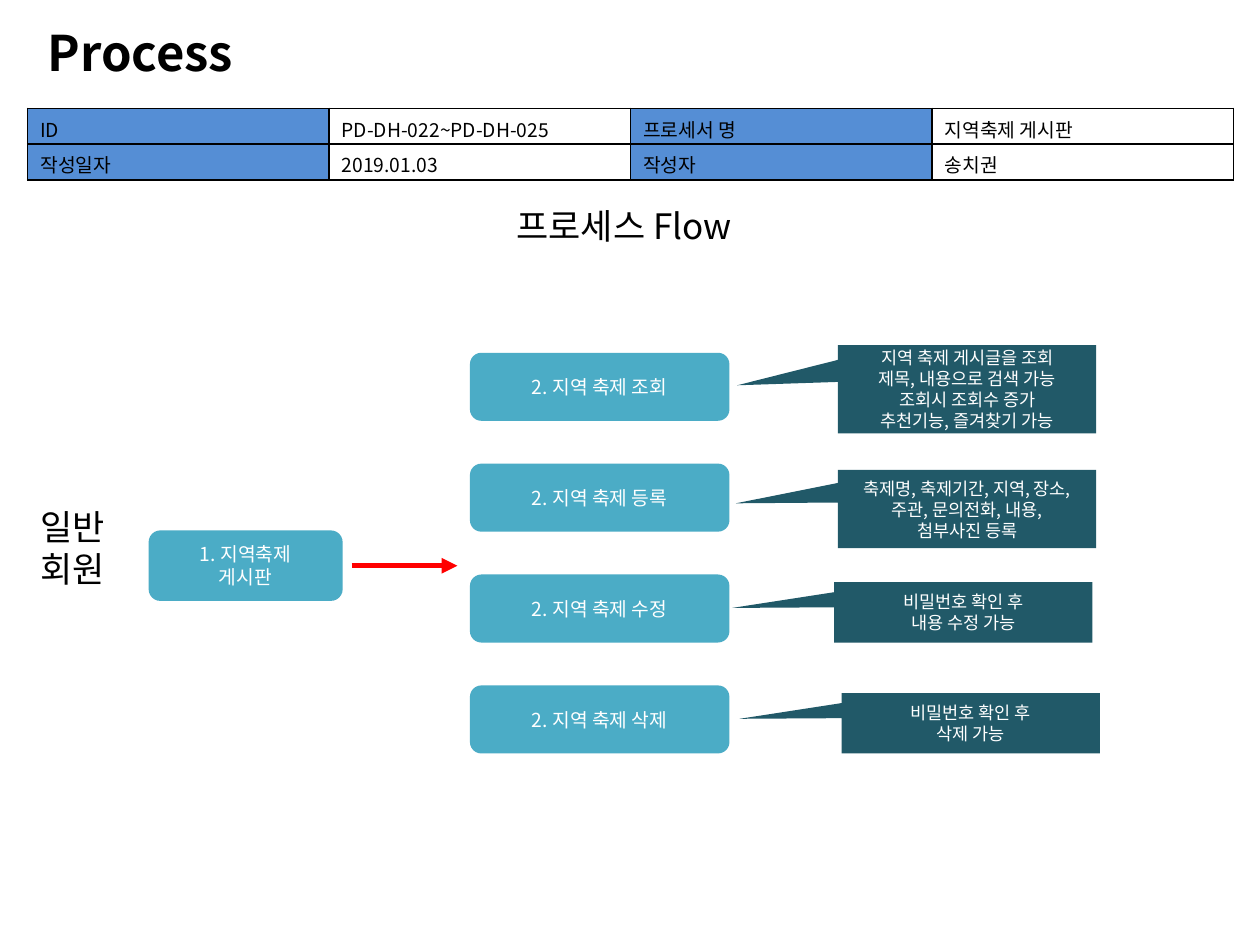
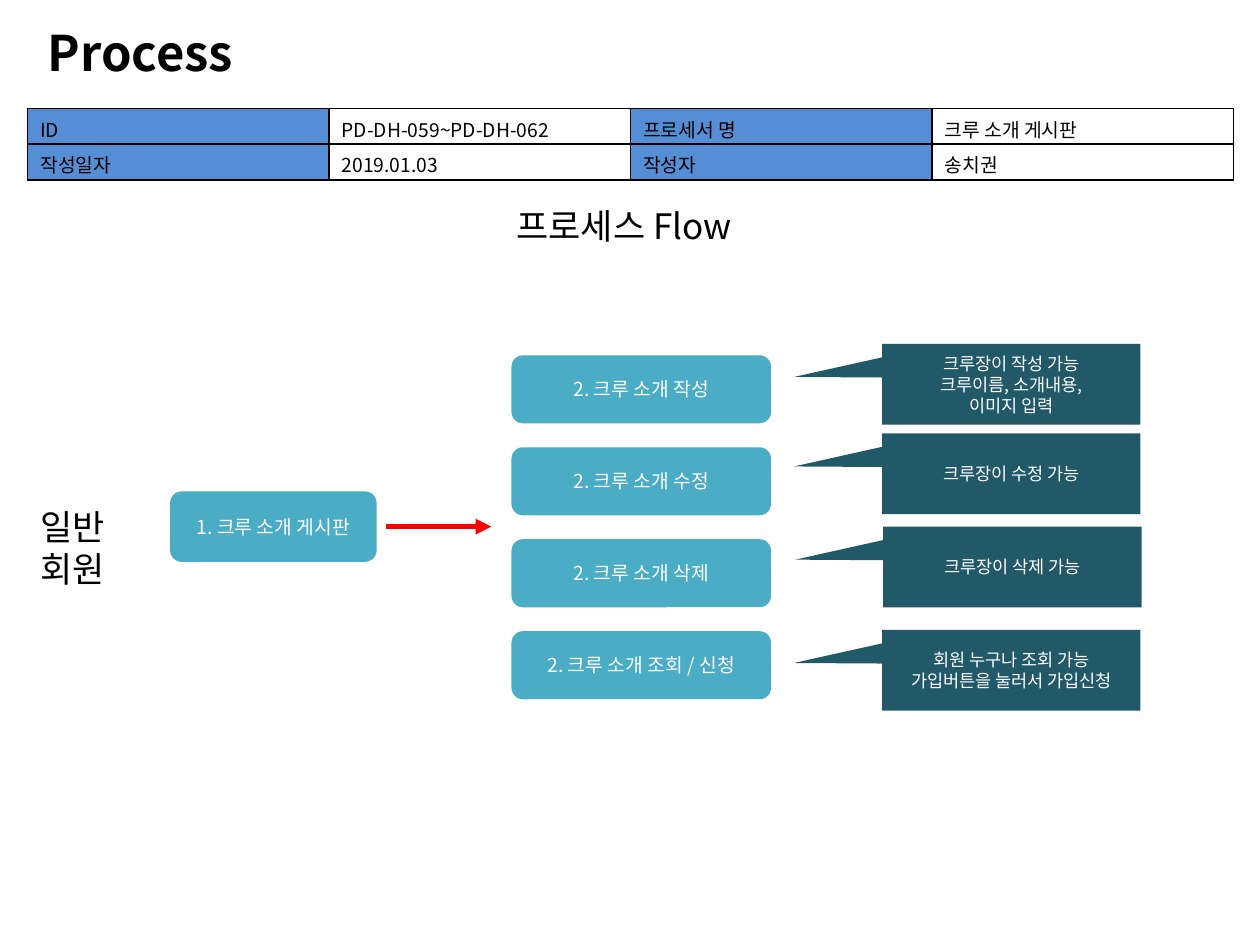
from lxml import etree
from pptx import Presentation
from pptx.dml.color import RGBColor
from pptx.enum.shapes import MSO_CONNECTOR, MSO_SHAPE
from pptx.enum.text import MSO_ANCHOR, MSO_AUTO_SIZE, PP_ALIGN
from pptx.oxml import parse_xml
from pptx.oxml.ns import nsdecls, qn
from pptx.util import Inches, Pt

FONT = "Noto Sans CJK KR"
BLACK = RGBColor(0x00, 0x00, 0x00)
WHITE = RGBColor(0xFF, 0xFF, 0xFF)
HEADER_BLUE = RGBColor(0x55, 0x8E, 0xD5)
STEP_TEAL = RGBColor(0x4B, 0xAC, 0xC6)
NOTE_TEAL = RGBColor(0x21, 0x59, 0x68)
ARROW_RED = RGBColor(0xFF, 0x00, 0x00)

# Content: boxes are (left, top, width, height); each step has a label,
# the place of its note (left, top, height), the note's tip and its lines
STEP_W, STEP_H, NOTE_W = 2.06, 0.54, 2.05
TIP_TALL, TIP_A, TIP_B = (-0.89, -0.045), (-0.895, -0.073), (-0.841, -0.09)
PROCESSES = [
    {
        "id": "PD-DH-022~PD-DH-025",
        "name": "지역축제 게시판",
        "start": ["1. 지역축제", "게시판"],
        "start_box": (1.18, 4.21, 1.54, 0.56),
        "steps_at": (3.73, 2.80, 0.88),  # left, first top, pitch
        "steps": [
            ("2. 지역 축제 조회", (6.65, 2.74, 0.70), TIP_TALL,
             ["지역 축제 게시글을 조회", "제목, 내용으로 검색 가능",
              "조회시 조회수 증가", "추천기능, 즐겨찾기 가능"]),
            ("2. 지역 축제 등록", (6.65, 3.73, 0.62), TIP_A,
             ["축제명, 축제기간, 지역, 장소, 주관, 문의전화, 내용,",
              "첨부사진 등록"]),
            ("2. 지역 축제 수정", (6.62, 4.62, 0.48), TIP_A,
             ["비밀번호 확인 후", "내용 수정 가능"]),
            ("2. 지역 축제 삭제", (6.68, 5.50, 0.48), TIP_A,
             ["비밀번호 확인 후", "삭제 가능"]),
        ],
    },
    {
        "id": "PD-DH-059~PD-DH-062",
        "name": "크루 소개 게시판",
        "start": ["1. 크루 소개 게시판"],
        "start_box": (1.35, 3.90, 1.64, 0.56),
        "steps_at": (4.06, 2.82, 0.73),
        "steps": [
            ("2. 크루 소개 작성", (7.00, 2.73, 0.64), TIP_B,
             ["크루장이 작성 가능", "크루이름, 소개내용,", "이미지 입력"]),
            ("2. 크루 소개 수정", (7.00, 3.44, 0.64), TIP_B,
             ["크루장이 수정 가능"]),
            ("2. 크루 소개 삭제", (7.01, 4.18, 0.64), TIP_B,
             ["크루장이 삭제 가능"]),
            ("2. 크루 소개 조회 / 신청", (7.00, 5.00, 0.64), TIP_B,
             ["회원 누구나 조회 가능", "가입버튼을 눌러서 가입신청"]),
        ],
    },
]


def write(tf, lines, size, color, align=PP_ALIGN.LEFT, bold=False):
    tf.word_wrap = True
    for i, line in enumerate(lines):
        p = tf.paragraphs[0] if i == 0 else tf.add_paragraph()
        p.text = line
        p.alignment = align
        p.font.size, p.font.bold, p.font.name = Pt(size), bold, FONT
        p.font.color.rgb = color
        ea = etree.SubElement(p._p.pPr.find(qn("a:defRPr")), qn("a:ea"))
        ea.set("typeface", FONT)


def add_label(slide, box, lines):
    sp = slide.shapes.add_textbox(*map(Inches, box))
    write(sp.text_frame, lines, 20, BLACK)
    sp.text_frame.auto_size = MSO_AUTO_SIZE.SHAPE_TO_FIT_TEXT


def add_box(slide, kind, box, lines, size, fill, adjustments):
    sp = slide.shapes.add_shape(kind, *map(Inches, box))
    for i, value in enumerate(adjustments):
        sp.adjustments[i] = value
    sp.shadow.inherit = False
    sp.fill.solid()
    sp.fill.fore_color.rgb = fill
    sp.line.fill.background()
    sp.text_frame.vertical_anchor = MSO_ANCHOR.MIDDLE
    write(sp.text_frame, lines, size, WHITE, PP_ALIGN.CENTER)


def add_step(slide, box, lines):
    add_box(slide, MSO_SHAPE.ROUNDED_RECTANGLE, box, lines, 11, STEP_TEAL, [0.167])


def add_arrow(slide, left, right, y):
    line = slide.shapes.add_connector(
        MSO_CONNECTOR.STRAIGHT, Inches(left), Inches(y), Inches(right), Inches(y))
    line.line.color.rgb = ARROW_RED
    line.line.width = Pt(3)
    etree.SubElement(line.line._get_or_add_ln(), qn("a:tailEnd")).set("type", "triangle")
    etree.SubElement(line._element.spPr, qn("a:effectLst"))


def add_title(slide, text):
    title = slide.shapes.title
    title.left, title.top, title.width, title.height = map(Inches, (0.28, 0.13, 8.98, 0.57))
    write(title.text_frame, [text], 28, BLACK, bold=True)
    title.text_frame.vertical_anchor = MSO_ANCHOR.TOP
    title.text_frame.auto_size = MSO_AUTO_SIZE.SHAPE_TO_FIT_TEXT


def add_info_table(slide, rows):
    frame = slide.shapes.add_table(
        len(rows), len(rows[0]), *map(Inches, (0.22, 0.86, 9.57, 0.57)))
    for r, row in enumerate(rows):
        for c, text in enumerate(row):
            cell = frame.table.cell(r, c)
            write(cell.text_frame, [text], 11, BLACK)
            tc_pr = cell._tc.get_or_add_tcPr()
            for side in ("lnL", "lnR", "lnT", "lnB"):
                tc_pr.append(parse_xml(
                    f'<a:{side} {nsdecls("a")} w="{Pt(1)}"><a:solidFill>'
                    f'<a:srgbClr val="{BLACK}"/></a:solidFill></a:{side}>'))
            cell.fill.solid()
            cell.fill.fore_color.rgb = WHITE if c % 2 else HEADER_BLUE


def add_process_slide(prs, process):
    slide = prs.slides.add_slide(prs.slide_layouts[5])

    # Shared heading parts
    add_title(slide, "Process")
    add_info_table(slide, [
        ["ID", process["id"], "프로세서 명", process["name"]],
        ["작성일자", "2019.01.03", "작성자", "송치권"],
    ])
    add_label(slide, (4.00, 1.57, 2.01, 0.44), ["프로세스 Flow"])
    add_label(slide, (0.22, 3.96, 0.76, 0.77), ["일반", "회원"])

    # Starting board and arrow
    left, top, width, height = process["start_box"]
    add_step(slide, process["start_box"], process["start"])
    arrow_left = left + width + 0.07
    add_arrow(slide, arrow_left, arrow_left + 0.84, top + height / 2)

    # Steps with their notes
    step_left, first_top, pitch = process["steps_at"]
    for i, (label, (x, y, h), tip, note) in enumerate(process["steps"]):
        add_step(slide, (step_left, first_top + i * pitch, STEP_W, STEP_H), [label])
        add_box(slide, MSO_SHAPE.RECTANGULAR_CALLOUT, (x, y, NOTE_W, h),
                note, 10, NOTE_TEAL, tip)


def main():
    prs = Presentation()
    prs.slide_width, prs.slide_height = Inches(10), Inches(7.5)
    for process in PROCESSES:
        add_process_slide(prs, process)
    prs.save("out.pptx")


if __name__ == "__main__":
    main()
